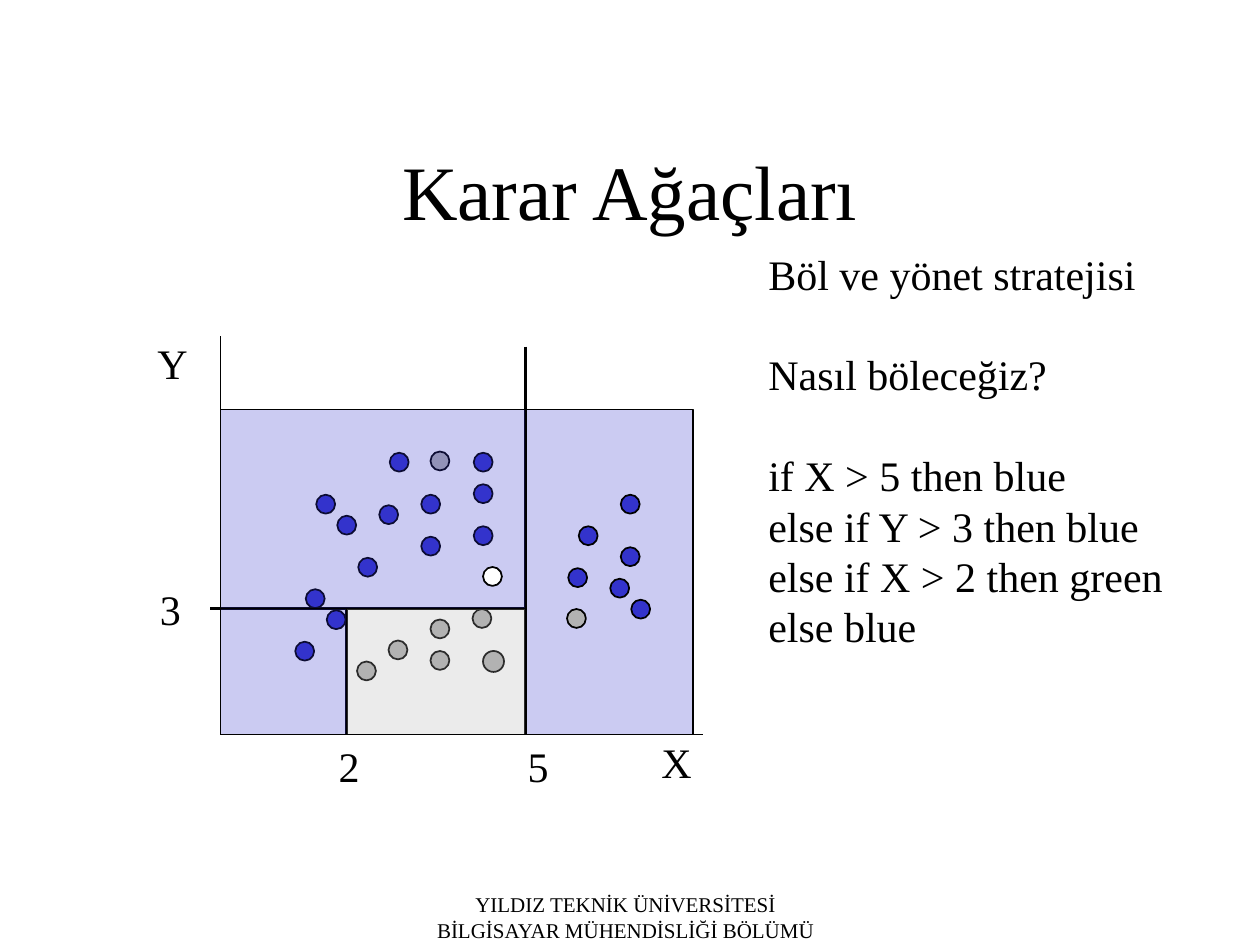
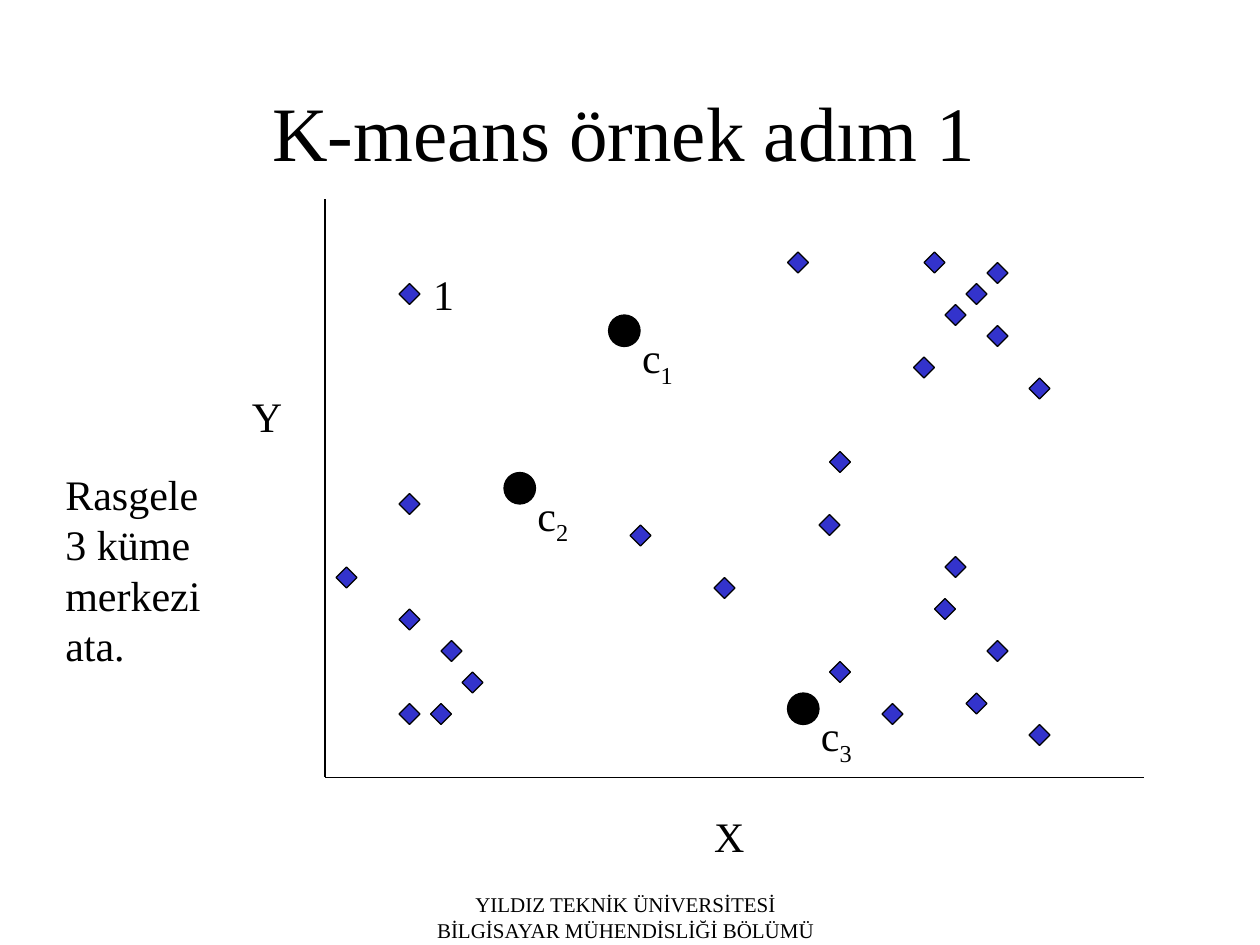
from dataclasses import dataclass

from lxml import etree
from pptx import Presentation
from pptx.dml.color import RGBColor
from pptx.enum import shapes, text
from pptx.oxml.ns import qn
from pptx.util import Inches, Pt


@dataclass(frozen=True)
class Theme:
    font: str = "Times New Roman"
    ink: str = "000000"
    paper: str = "FFFFFF"
    blue: str = "3333CC"
    grey: str = "B2B2B2"
    title_size: int = 44
    label_size: int = 24
    footer_size: int = 12
    thin: float = 0.75
    medium: float = 1
    thick: float = 2
    region_opacity: int = 25


THEME = Theme()
STEP = 1 / 12
DOT = 0.15
DIAMOND = 2 * STEP
CENTRE = 0.25
LINE_HEIGHT = 28.8

FOOTER = ["YILDIZ TEKNİK ÜNİVERSİTESİ", "BİLGİSAYAR MÜHENDİSLİĞİ BÖLÜMÜ"]

STRATEGY = [
    ["Böl ve yönet stratejisi"],
    ["Nasıl böleceğiz?"],
    [
        "if X > 5 then blue",
        "else if Y > 3 then blue",
        "else if X > 2 then green",
        "else blue",
    ],
]

BLUE_DOTS = [
    (30, 47), (32, 49), (36, 48), (40, 47), (29, 56), (45, 43), (34, 53),
    (40, 51), (45, 50), (31, 58), (28, 61), (37, 43), (45, 46), (59, 47),
    (55, 50), (54, 54), (58, 55), (60, 57), (59, 52),
]
GREY_DOTS = [(34, 63), (37, 61), (41, 62), (41, 59), (45, 58), (41, 43), (54, 58)]

SAMPLES = [
    (42, 61), (44, 64), (41, 67), (38, 58), (38, 27), (38, 47), (38, 67),
    (32, 54), (60, 50), (88, 24), (94, 25), (92, 27), (90, 29), (94, 31),
    (98, 36), (75, 24), (79, 43), (79, 63), (84, 67), (89, 57), (78, 49),
    (68, 55), (94, 61), (92, 66), (90, 53), (98, 69), (87, 34),
]
CENTRES = [(4.83, 2.5), (4, 3.75), (6.25, 5.5)]


def apply(target, values):
    for name, value in values.items():
        setattr(target, name, value)


def style_font(font, size):
    apply(font, {"name": THEME.font, "size": Pt(size)})
    font.color.rgb = RGBColor.from_string(THEME.ink)


def start_slide(deck, title, box, anchor):
    slide = deck.slides.add_slide(deck.slide_layouts[5])
    heading = slide.shapes.title
    apply(heading, dict(zip(("left", "top", "width", "height"), map(Inches, box))))
    frame = heading.text_frame
    frame.text = title
    apply(frame, {"vertical_anchor": anchor, "auto_size": text.MSO_AUTO_SIZE.NONE})
    frame.paragraphs[0].alignment = text.PP_ALIGN.CENTER
    style_font(frame.paragraphs[0].font, THEME.title_size)
    add_text(slide.shapes, (2.64, 7.03, 4.65, 0.5), [FOOTER], THEME.footer_size,
             text.PP_ALIGN.CENTER, wrap=True)
    return slide


def add_text(canvas, box, blocks, size=THEME.label_size,
             align=text.PP_ALIGN.LEFT, wrap=False):
    frame = canvas.add_textbox(*map(Inches, box)).text_frame
    frame.word_wrap = wrap
    lines = [(line, block > 0 and row == 0)
             for block, rows in enumerate(blocks) for row, line in enumerate(rows)]
    for index, (line, opens_block) in enumerate(lines):
        paragraph = frame.add_paragraph() if index else frame.paragraphs[0]
        paragraph.text = line
        paragraph.alignment = align
        if opens_block:
            paragraph.space_before = Pt(LINE_HEIGHT)
        style_font(paragraph.font, size)
    return frame


def add_label(canvas, left, top, label, width=0.36):
    return add_text(canvas, (left, top, width, 0.5), [[label]])


def add_figure(canvas, kind, box, fill, weight=THEME.thin, opacity=100):
    figure = canvas.add_shape(kind, *map(Inches, box))
    figure.shadow.inherit = False
    figure.fill.solid()
    figure.fill.fore_color.rgb = RGBColor.from_string(fill)
    figure.line.color.rgb = RGBColor.from_string(THEME.ink)
    figure.line.width = Pt(weight)
    if opacity < 100:
        colour = figure.fill._xPr.find(qn("a:solidFill"))[0]
        etree.SubElement(colour, qn("a:alpha")).set("val", str(opacity * 1000))


def add_line(canvas, start, end, weight):
    line = canvas.add_connector(shapes.MSO_CONNECTOR.STRAIGHT,
                                *map(Inches, (*start, *end)))
    line.line.color.rgb = RGBColor.from_string(THEME.ink)
    line.line.width = Pt(weight)
    etree.SubElement(line._element.spPr, qn("a:effectLst"))


def add_axes(canvas, top, origin, right, weight):
    add_line(canvas, (origin[0], top), origin, weight)
    add_line(canvas, origin, (right, origin[1]), weight)


def add_region(canvas, box, fill):
    add_figure(canvas, shapes.MSO_SHAPE.RECTANGLE, box, fill,
               opacity=THEME.region_opacity)


def add_marks(canvas, kind, cells, size, fill, weight, inset=0):
    for column, row in cells:
        box = (column * STEP + inset, row * STEP + inset, size, size)
        add_figure(canvas, kind, box, fill, weight)


def add_dots(canvas, cells, fill, size=DOT, inset=0):
    add_marks(canvas, shapes.MSO_SHAPE.OVAL, cells, size, fill, THEME.medium, inset)


def add_centre(slide, number, left, top):
    canvas = slide.shapes.add_group_shape().shapes
    add_figure(canvas, shapes.MSO_SHAPE.OVAL, (left, top, CENTRE, CENTRE), THEME.ink)
    box = (left + DIAMOND, top + STEP, 0.58, 0.56)
    paragraph = add_text(canvas, box, [["c"]], wrap=True).paragraphs[0]
    subscript = paragraph.add_run()
    subscript.text = str(number)
    subscript.font._element.set("baseline", "-25000")


def build_decision_tree(deck):
    slide = start_slide(deck, "Karar Ağaçları", (0.75, 0.67, 8.5, 1.25),
                        text.MSO_ANCHOR.BOTTOM)
    canvas = slide.shapes
    left, split_2, split_5, right = 1.75, 2.75, 4.17, 5.5
    top, split_3, bottom = 3.25, 4.83, 5.83

    add_region(canvas, (split_5, top, right - split_5, bottom - top), THEME.blue)
    add_axes(canvas, 2.67, (left, bottom), 5.58, THEME.medium)
    add_dots(canvas, BLUE_DOTS, THEME.blue, inset=0.01)
    add_dots(canvas, GREY_DOTS, THEME.grey)
    add_dots(canvas, [(46, 62)], THEME.grey, size=DIAMOND)

    for start, end in [
        ((split_5, 2.75), (split_5, bottom)),
        ((split_5, split_3), (1.67, split_3)),
        ((split_2, split_3), (split_2, bottom)),
    ]:
        add_line(canvas, start, end, THEME.thick)

    lower = bottom - split_3
    add_region(canvas, (left, top, split_5 - left, split_3 - top), THEME.blue)
    add_region(canvas, (left, split_3, split_2 - left, lower), THEME.blue)
    add_region(canvas, (split_2, split_3, split_5 - split_2, lower), THEME.grey)

    add_label(canvas, 5.15, 5.8, "X", 0.44)
    add_label(canvas, 1.15, 2.63, "Y", 0.44)
    add_label(canvas, 4.09, bottom, "5")
    add_label(canvas, 2.59, bottom, "2")
    add_label(canvas, 1.17, 4.58, "3")
    add_text(canvas, (6, 1.92, 3.33, 3.3), STRATEGY)
    add_dots(canvas, [(46, 54)], THEME.paper)


def build_k_means(deck):
    slide = start_slide(deck, "K-means örnek adım 1", (0.98, 0.67, 7.95, 0.73),
                        text.MSO_ANCHOR.MIDDLE)
    add_marks(slide.shapes, shapes.MSO_SHAPE.DIAMOND, SAMPLES, DIAMOND,
              THEME.blue, THEME.thin)
    for number, (left, top) in enumerate(CENTRES, 1):
        add_centre(slide, number, left, top)

    plot = slide.shapes.add_group_shape().shapes
    add_axes(plot, 1.58, (2.58, 6.17), 9.08, THEME.thin)
    add_label(plot, 5.57, 6.38, "X", 0.44)
    add_label(plot, 1.9, 3.05, "Y", 0.44)

    add_text(slide.shapes, (0.42, 3.67, 1.35, 1.7),
             [["Rasgele", "3 küme", "merkezi", "ata."]])
    add_label(slide.shapes, 3.34, 2.08, "1")


def main():
    deck = Presentation()
    apply(deck, {"slide_width": Inches(10), "slide_height": Inches(7.5)})
    build_decision_tree(deck)
    build_k_means(deck)
    deck.save("out.pptx")


if __name__ == "__main__":
    main()
